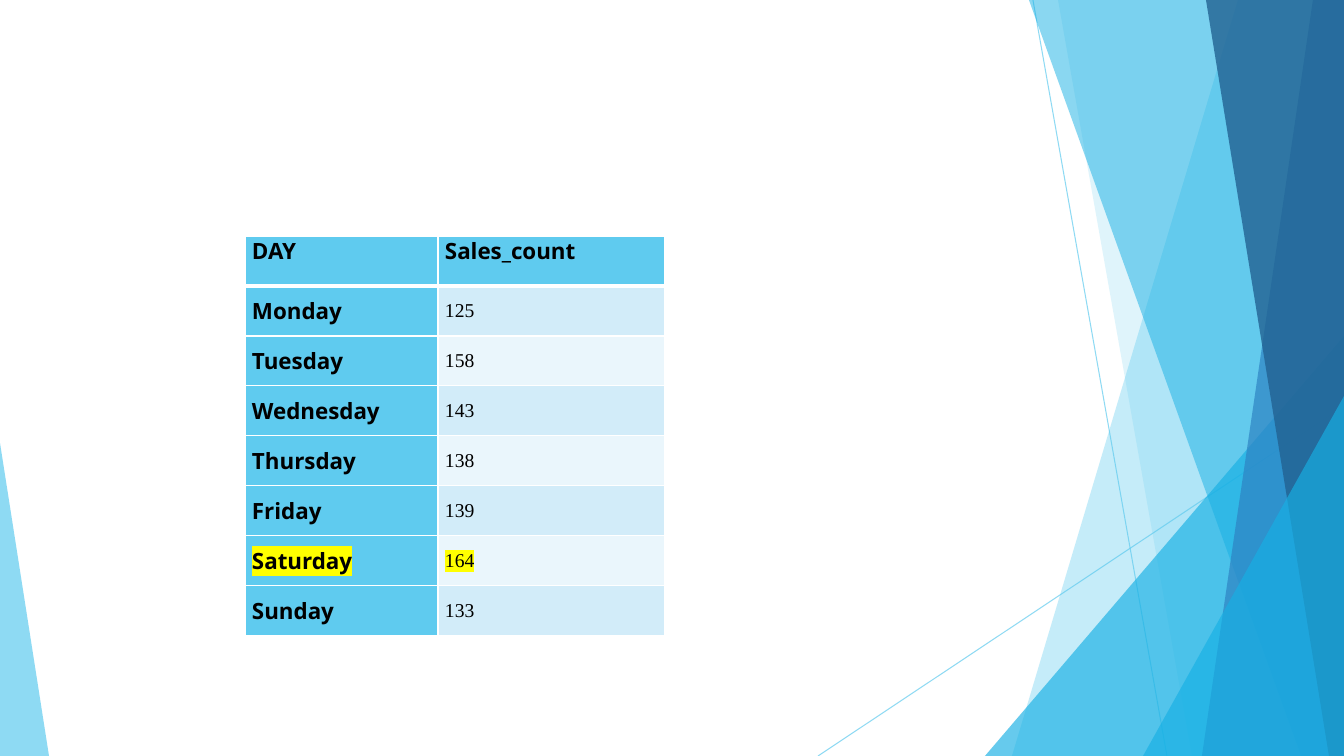
import pptx
import pptx.util
import pptx.dml.color
import pptx.enum.shapes
import pptx.enum.text
import pptx.oxml
import pptx.oxml.ns

SLIDE_W, SLIDE_H = 1344, 756
SCALE = 12192000 / SLIDE_W

SKY, CYAN, BLUE, NAVY = "5FCBEF", "17B0E4", "2E83C3", "226292"
WHITE, BLACK, YELLOW = "FFFFFF", "000000", "FFFF00"
BANDS = ["EAF6FC", "D2ECF9"]

RAYS = [((1033, 0), (1167, 756)), ((1344, 406), (818, 756))]
RAY_OPACITY = 70

FACETS = [
    {"top_x": 1238, "bottom_x": 1012, "color": SKY, "opacity": 36},
    {"top_x": 1058, "bottom_x": 1192, "color": SKY, "opacity": 20},
    {"box": (985, 336, 359, 420), "apex": 1, "color": CYAN, "opacity": 66},
    {"top_x": 1029, "bottom_x": 1301, "color": CYAN, "opacity": 50},
    {"top_x": 1313, "bottom_x": 1202, "color": BLUE, "opacity": 70},
    {"top_x": 1206, "bottom_x": 1329, "color": NAVY, "opacity": 80},
    {"box": (1143, 396, 201, 360), "apex": 1, "color": CYAN, "opacity": 66},
    {"box": (0, 443, 49, 313), "apex": 0, "color": SKY, "opacity": 70},
]

SALES = [
    ("DAY", "Sales_count"),
    ("Monday", "125"),
    ("Tuesday", "158"),
    ("Wednesday", "143"),
    ("Thursday", "138"),
    ("Friday", "139"),
    ("Saturday", "164"),
    ("Sunday", "133"),
]
BEST_DAY = "Saturday"
TABLE_LEFT, TABLE_TOP = 245, 236
COLUMN_WIDTHS = [193, 227]
ROW_HEIGHT = 50
CELL_INSET = 7


def px(length):
    return pptx.util.Emu(round(length * SCALE))


def rgb(color):
    return pptx.dml.color.RGBColor.from_string(color)


def add_xml(parent, tag, **attributes):
    child = pptx.oxml.parse_xml(f"<a:{tag} {pptx.oxml.ns.nsdecls('a')}/>")
    for key, value in attributes.items():
        child.set(key, str(value))
    parent.append(child)
    return child


def set_opacity(fill_parent, opacity):
    color = fill_parent.find(".//" + pptx.oxml.ns.qn("a:srgbClr"))
    add_xml(color, "alpha", val=opacity * 1000)


def add_ray(shapes, start, end):
    ray = shapes.add_connector(
        pptx.enum.shapes.MSO_CONNECTOR.STRAIGHT, *map(px, start + end))
    ray.line.color.rgb = rgb(SKY)
    ray.line.width = pptx.util.Pt(0.75)
    properties = ray._element.spPr
    set_opacity(properties, RAY_OPACITY)
    add_xml(properties, "effectLst")


def add_facet(shapes, facet):
    if "box" in facet:
        panel = shapes.add_shape(
            pptx.enum.shapes.MSO_SHAPE.ISOSCELES_TRIANGLE, *map(px, facet["box"]))
        panel.adjustments[0] = facet["apex"]
    else:
        outline = shapes.build_freeform(facet["top_x"], 0, scale=SCALE)
        outline.add_line_segments(
            [(SLIDE_W, 0), (SLIDE_W, SLIDE_H), (facet["bottom_x"], SLIDE_H)])
        panel = outline.convert_to_shape()
    panel.shadow.inherit = False
    panel.fill.solid()
    panel.fill.fore_color.rgb = rgb(facet["color"])
    set_opacity(panel._element.spPr, facet["opacity"])
    panel.line.fill.background()


def add_borders(cell, row):
    widths = {"lnL": 1, "lnR": 1, "lnT": 3 if row == 1 else 1, "lnB": 3 if row == 0 else 1}
    properties = cell._tc.get_or_add_tcPr()
    for side, width in widths.items():
        border = add_xml(properties, side, w=pptx.util.Pt(width))
        add_xml(add_xml(border, "solidFill"), "srgbClr", val=WHITE)


def fill_cell(cell, text, row, column, highlighted):
    is_label = row == 0 or column == 0
    add_borders(cell, row)
    cell.fill.solid()
    cell.fill.fore_color.rgb = rgb(SKY if is_label else BANDS[row % 2])
    cell.margin_left = cell.margin_right = px(CELL_INSET)
    cell.margin_top = cell.margin_bottom = 0
    anchors = pptx.enum.text.MSO_ANCHOR
    cell.vertical_anchor = anchors.TOP if row == 0 else anchors.MIDDLE

    paragraph = cell.text_frame.paragraphs[0]
    entry = paragraph.add_run()
    entry.text = text
    paragraph.font.name = "Noto Sans" if is_label else "Times New Roman"
    paragraph.font.size = pptx.util.Pt(16 if is_label else 14)
    paragraph.font.bold = is_label
    paragraph.font.color.rgb = rgb(BLACK)
    if highlighted:
        marker = add_xml(entry._r.get_or_add_rPr(), "highlight")
        add_xml(marker, "srgbClr", val=YELLOW)


def add_sales(shapes):
    sales = shapes.add_table(
        len(SALES), len(COLUMN_WIDTHS), px(TABLE_LEFT), px(TABLE_TOP),
        px(sum(COLUMN_WIDTHS)), px(ROW_HEIGHT * len(SALES))).table
    for column, width in enumerate(COLUMN_WIDTHS):
        sales.columns[column].width = px(width)
    for row, entries in enumerate(SALES):
        sales.rows[row].height = px(ROW_HEIGHT)
        for column, text in enumerate(entries):
            fill_cell(sales.cell(row, column), text, row, column, entries[0] == BEST_DAY)


def main():
    deck = pptx.Presentation()
    deck.slide_width, deck.slide_height = px(SLIDE_W), px(SLIDE_H)
    shapes = deck.slides.add_slide(deck.slide_layouts[6]).shapes
    for start, end in RAYS:
        add_ray(shapes, start, end)
    for facet in FACETS:
        add_facet(shapes, facet)
    add_sales(shapes)
    deck.save("out.pptx")


if __name__ == "__main__":
    main()
